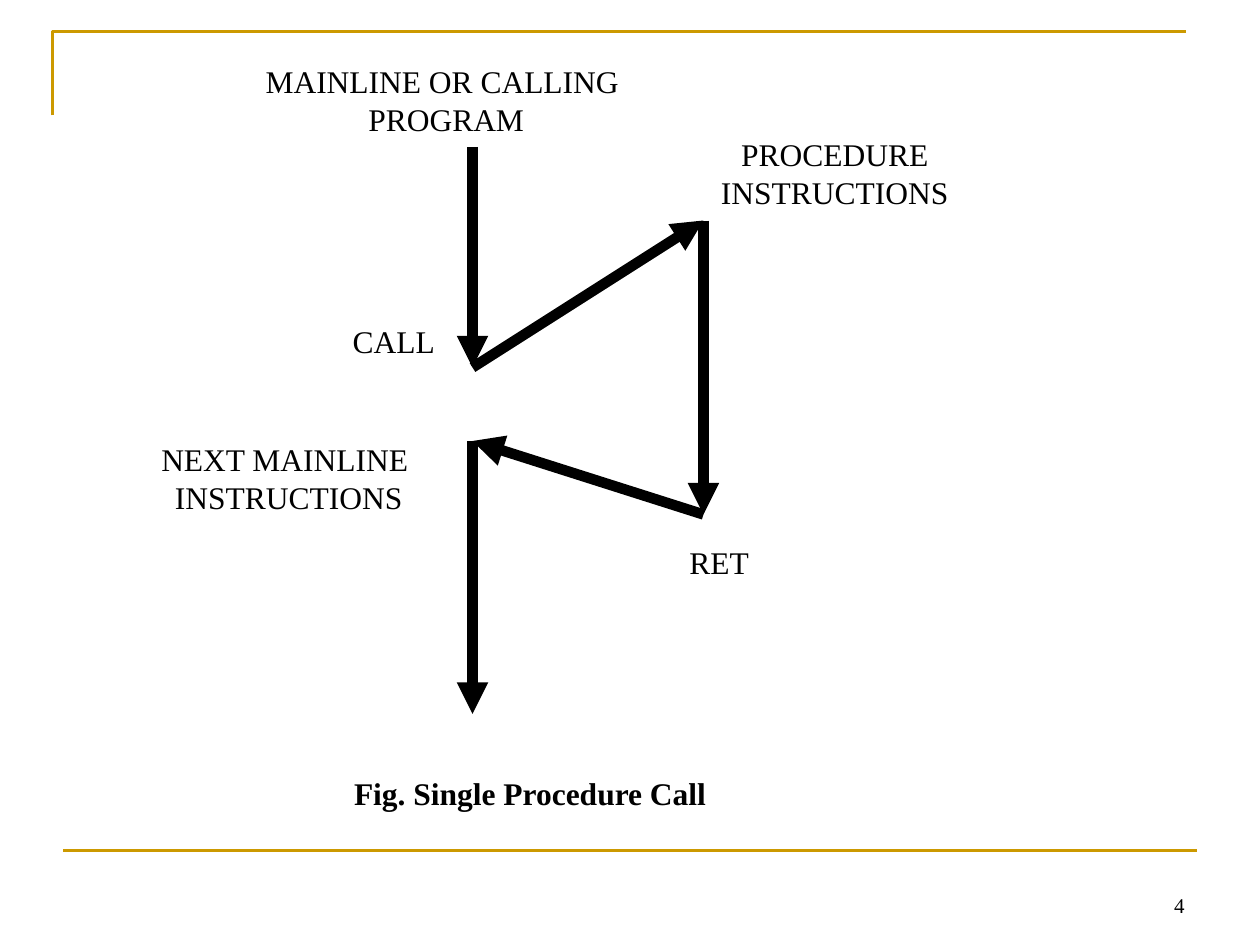
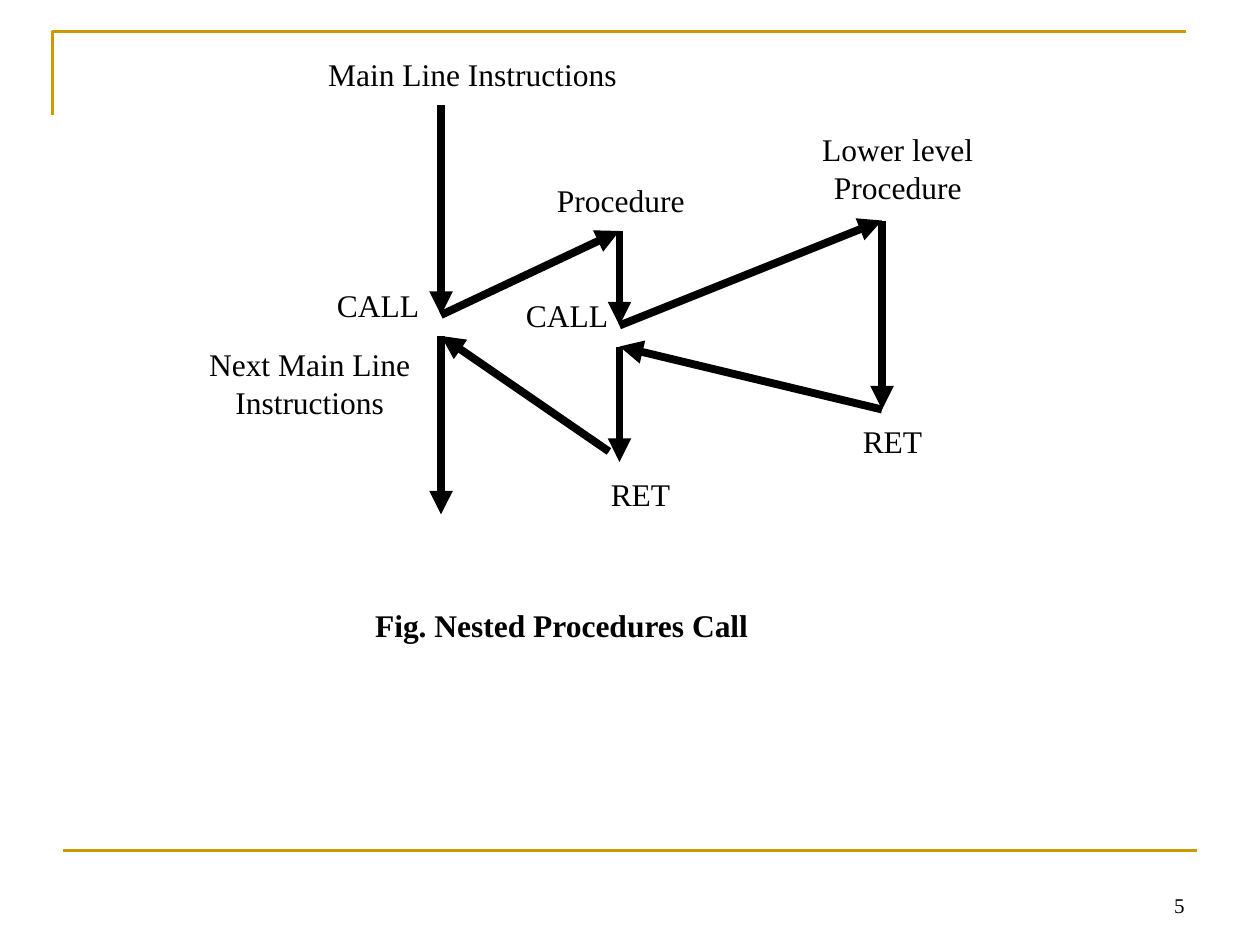
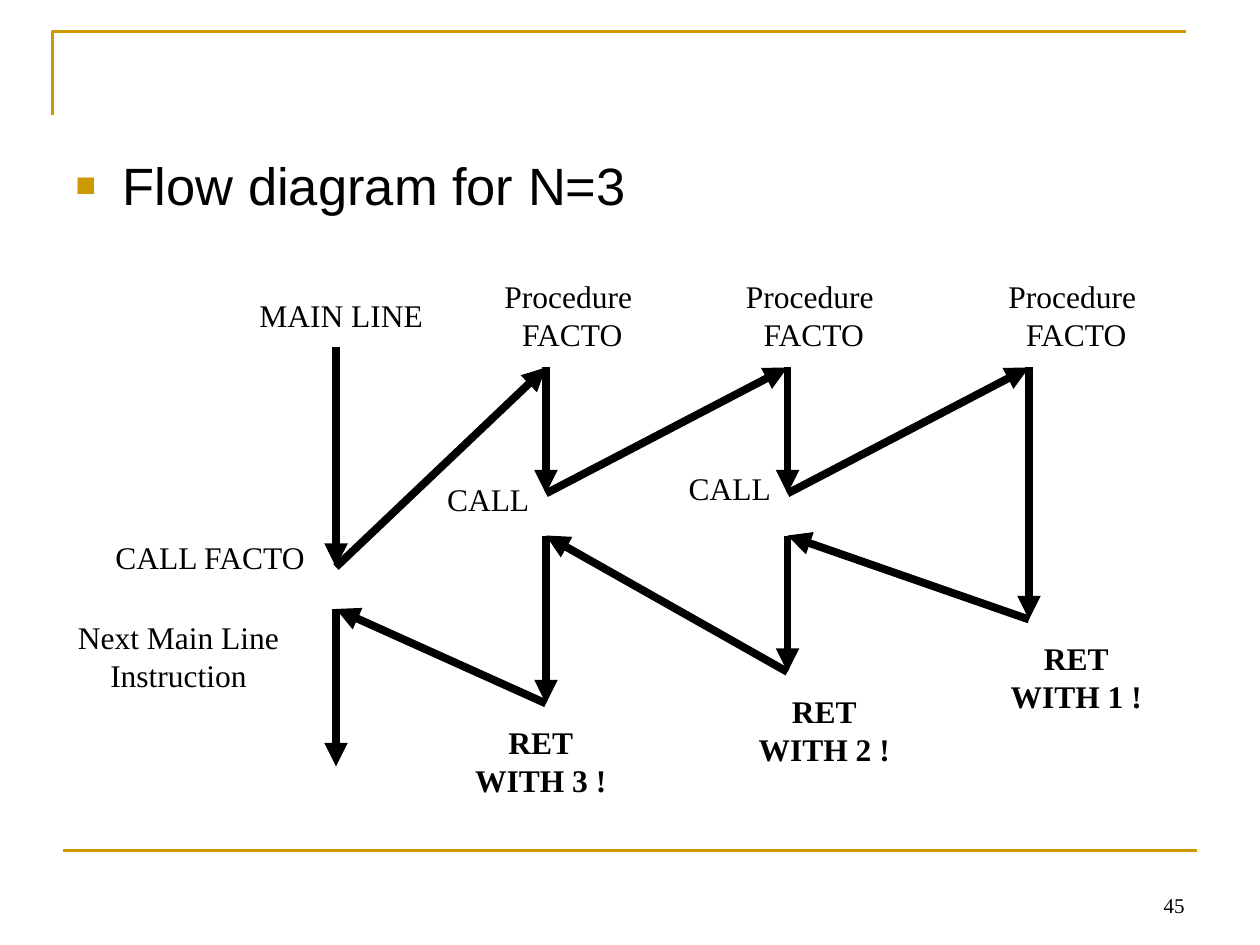
from itertools import pairwise
from lxml.etree import SubElement
from pptx import Presentation
from pptx.dml.color import RGBColor
from pptx.enum.shapes import MSO_CONNECTOR
from pptx.enum.text import MSO_ANCHOR, PP_ALIGN
from pptx.oxml.ns import qn
from pptx.util import Pt

HUES = {"gold": "CC9900", "ink": "000000"}
SERIF = "Times New Roman"


def write(slide, text, left, top, width, height, bold=False, size=18,
          align=PP_ALIGN.CENTER, anchor=MSO_ANCHOR.MIDDLE, wrap=False, inset=0):
    box = slide.shapes.add_textbox(Pt(left), Pt(top), Pt(width), Pt(height))
    frame = box.text_frame
    frame.word_wrap = wrap
    frame.vertical_anchor = anchor
    frame.margin_left = frame.margin_right = Pt(inset)
    frame.text = text
    for para in frame.paragraphs:
        para.alignment = align
        para.font.name = SERIF
        para.font.size = Pt(size)
        para.font.bold = bold
        para.font.color.rgb = RGBColor.from_string(HUES["ink"])


def link(slide, start, end, hue, width, arrow=False):
    line = slide.shapes.add_connector(
        MSO_CONNECTOR.STRAIGHT, *[Pt(n) for n in (*start, *end)])
    line.line.color.rgb = RGBColor.from_string(HUES[hue])
    line.line.width = Pt(width)
    props = line.element.spPr
    if arrow:
        SubElement(props.find(qn("a:ln")), qn("a:tailEnd"), type="triangle")
    SubElement(props, qn("a:effectLst"))


single = {
    "page": "4", "layout": 6, "width": 6,
    "routes": [[(270, 84), (270, 210), (402, 126), (402, 294), (270, 252), (270, 408)]],
    "labels": [
        ("MAINLINE OR CALLING \nPROGRAM", 150, 36, 210, 42),
        ("NEXT MAINLINE \nINSTRUCTIONS", 72, 252, 186, 42),
        ("PROCEDURE\nINSTRUCTIONS", 384, 78, 186, 42),
        ("CALL", 186, 174, 78, 42),
        ("RET", 378, 300, 66, 42),
        ("Fig. Single Procedure Call", 144, 438, 318, 30, True),
    ],
}
nested = {
    "page": "5", "layout": 6, "width": 4.5,
    "routes": [
        [(252, 60), (252, 180), (354, 132), (354, 186), (504, 126),
         (504, 234), (354, 198), (354, 264)],
        [(348, 258), (252, 192), (252, 294)],
    ],
    "labels": [
        ("Main Line Instructions", 186, 30, 168, 24),
        ("RET", 474, 240, 72, 24),
        ("Lower level\nProcedure", 450, 72, 126, 48),
        ("CALL", 300, 168, 48, 24),
        ("RET", 330, 270, 72, 24),
        ("Procedure ", 312, 102, 90, 24),
        ("CALL", 192, 162, 48, 24),
        ("Next Main Line\nInstructions", 108, 198, 138, 42),
        ("Fig. Nested Procedures Call", 162, 342, 318, 30, True),
    ],
}
facto = {
    "page": "45", "layout": 1, "width": 4.5,
    "routes": [[(192, 198), (192, 324), (312, 210), (312, 282), (450, 210),
                (450, 282), (588, 210), (588, 354), (450, 306), (450, 384),
                (312, 306), (312, 402), (192, 348), (192, 438)]],
    "labels": [
        ("MAIN LINE", 132, 168, 126, 24),
        ("CALL FACTO", 60, 306, 120, 24),
        ("Next Main Line\nInstruction", 24, 354, 156, 42),
        *[("Procedure \nFACTO", left, 156, 102, 48) for left in (276, 414, 564)],
        *[(f"RET\nWITH {num} !", left, top, 102, 54, True)
          for num, left, top in ((1, 564, 360), (2, 420, 390), (3, 258, 408))],
        ("CALL", 246, 270, 66, 30),
        ("CALL", 384, 264, 66, 30),
    ],
}

deck = Presentation()
deck.slide_width, deck.slide_height = Pt(720), Pt(540)

for plan in (single, nested, facto):
    slide = deck.slides.add_slide(deck.slide_layouts[plan["layout"]])
    pen = slide.shapes.build_freeform(Pt(30), Pt(66))
    pen.add_line_segments([(Pt(30), Pt(18)), (Pt(678), Pt(18))], close=False)
    edge = pen.convert_to_shape()
    edge.shadow.inherit = False
    edge.fill.background()
    edge.line.color.rgb = RGBColor.from_string(HUES["gold"])
    edge.line.width = Pt(1.5)
    link(slide, (36, 486), (684, 486), "gold", 1.5)
    write(slide, plan["page"], 516, 492, 168, 36, size=12,
          align=PP_ALIGN.RIGHT, anchor=MSO_ANCHOR.BOTTOM, wrap=True, inset=7.2)
    for route in plan["routes"]:
        for start, end in pairwise(route):
            link(slide, start, end, "ink", plan["width"], True)
    for label in plan["labels"]:
        write(slide, *label)

title = slide.shapes.title.element
title.getparent().remove(title)
body = slide.placeholders[1]
body.left, body.top, body.width, body.height = Pt(36), Pt(84), Pt(648), Pt(398)
body.text_frame.text = "Flow diagram for N=3"
para = body.text_frame.paragraphs[0]
props = para._p.get_or_add_pPr()
props.set("marL", str(Pt(27)))
props.set("indent", str(-Pt(27)))
tint = SubElement(props, qn("a:buClr"))
SubElement(tint, qn("a:srgbClr"), val=HUES["gold"])
SubElement(props, qn("a:buSzPct"), val="65000")
SubElement(props, qn("a:buFont"), typeface="Arial")
SubElement(props, qn("a:buChar"), char="■")
para.space_before = Pt(0)
para.font.name = "Arial"
para.font.size = Pt(30)
para.font.color.rgb = RGBColor.from_string(HUES["ink"])

deck.save("out.pptx")
